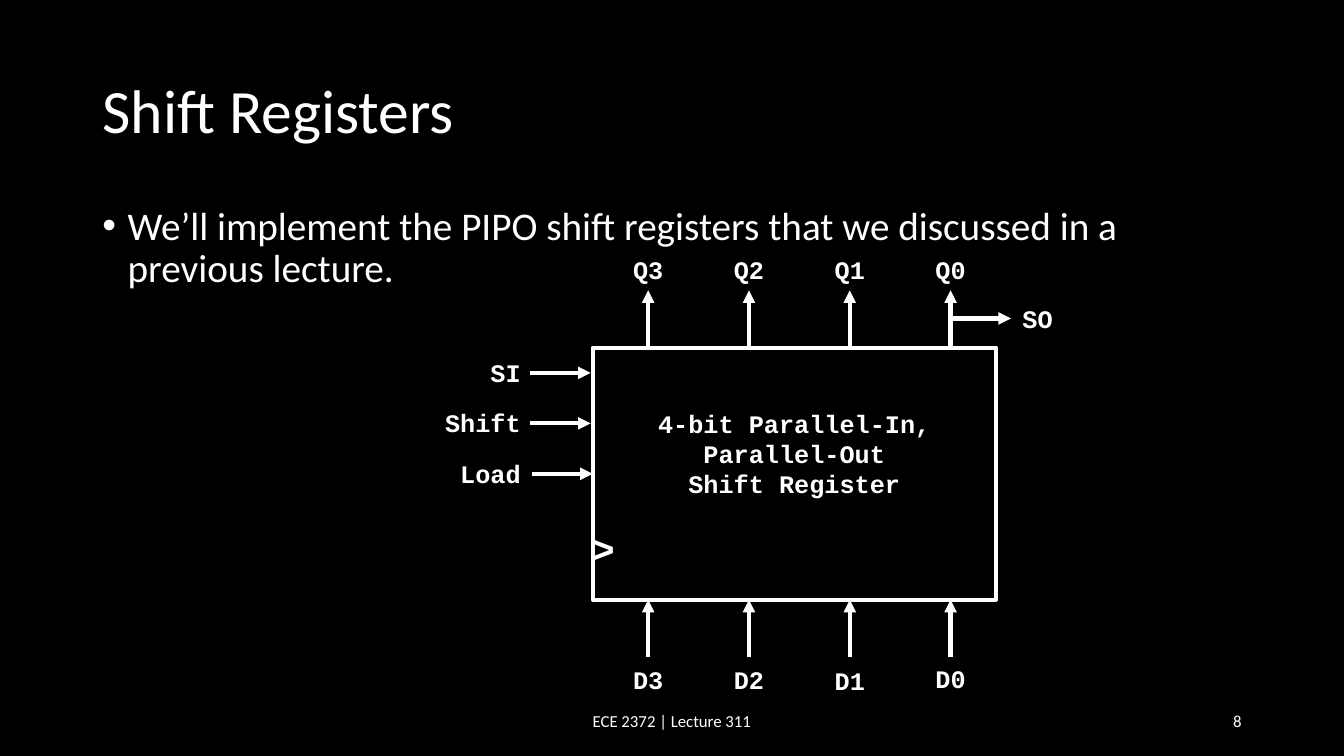
"""Build the shift register slide."""
import pptx
import pptx.util
import pptx.dml.color
import pptx.enum.shapes
import pptx.enum.text
import pptx.oxml.ns
from lxml import etree

Pt = pptx.util.Pt
ALIGN = pptx.enum.text.PP_ALIGN
ANCHOR = pptx.enum.text.MSO_ANCHOR
BLACK, WHITE = "000000", "FFFFFF"
CODE, SANS = "Courier New", "Calibri"

TITLE = "Shift Registers"
BODY = "We’ll implement the PIPO shift registers that we discussed in a previous lecture."
NAME = ["4-bit Parallel-In,", "Parallel-Out", "Shift Register"]
FOOTER, NUMBER = "ECE 2372 | Lecture 311", "8"
BITS = [("Q3", "D3", 471), ("Q2", "D2", 471), ("Q1", "D1", 471.6), ("Q0", "D0", 470.2)]
INPUTS = [("SI", 36, 252), ("Shift", 69, 287.5), ("Load", 58, 324)]

LEFT, TOP, WIDE, HIGH = 423.4, 248.4, 288, 180
FIRST, STEP, STEM = 463, 72, 41
LABEL_W, LABEL_H = 36, 29


def color(code):
    return pptx.dml.color.RGBColor.from_string(code)


def style(par, size, face, align, bold=False):
    par.alignment = align
    par.font.size = Pt(size)
    par.font.name = face
    par.font.bold = bold
    par.font.color.rgb = color(WHITE)


def child(parent, tag, **attrs):
    return etree.SubElement(parent, pptx.oxml.ns.qn(tag), attrs)


def label(slide, lines, spot, align, size=18, face=CODE, foot=False):
    frame = slide.shapes.add_textbox(*map(Pt, spot)).text_frame
    frame.word_wrap = foot
    frame.vertical_anchor = ANCHOR.MIDDLE if foot else ANCHOR.TOP
    frame.text = "\n".join(lines)
    for par in frame.paragraphs:
        style(par, size, face, align, bold=not foot)


def arrow(slide, *ends):
    line = slide.shapes.add_connector(
        pptx.enum.shapes.MSO_CONNECTOR.STRAIGHT, *map(Pt, ends))
    line.line.color.rgb = color(WHITE)
    line.line.width = Pt(3)
    child(line.line._get_or_add_ln(), "a:tailEnd", type="triangle")
    child(line._element.spPr, "a:effectLst")
    return line


def holder(shape, text, spot, size, anchor):
    shape.left, shape.top, shape.width, shape.height = map(Pt, spot)
    frame = shape.text_frame
    frame.text = text
    frame.word_wrap = True
    frame.auto_size = pptx.enum.text.MSO_AUTO_SIZE.NONE
    frame.vertical_anchor = anchor
    par = frame.paragraphs[0]
    par.line_spacing = 0.9
    par.space_before = Pt(0)
    return par


def heading(slide):
    par = holder(slide.shapes.title, TITLE, (66, 28.8, 828, 104.4), 44, ANCHOR.MIDDLE)
    style(par, 44, SANS, ALIGN.LEFT)
    par = holder(slide.placeholders[1], BODY, (66, 144, 828, 342.7), 28, ANCHOR.TOP)
    props = par._p.get_or_add_pPr()
    props.set("marL", str(Pt(18)))
    props.set("indent", str(-Pt(18)))
    child(props, "a:buFont", typeface="Arial")
    child(props, "a:buChar", char="•")
    style(par, 28, SANS, ALIGN.LEFT)


def register(slide):
    box = slide.shapes.add_shape(
        pptx.enum.shapes.MSO_SHAPE.RECTANGLE, *map(Pt, (LEFT, TOP, WIDE, HIGH)))
    box.shadow.inherit = False
    box.fill.background()
    box.line.color.rgb = color(WHITE)
    box.line.width = Pt(3)

    base = TOP + HIGH
    for i, (out, data, top) in enumerate(BITS):
        x = FIRST + i * STEP
        arrow(slide, x, TOP - 0.5, x, TOP - STEM)
        arrow(slide, x, base + STEM, x, base)
        for text, y in ((out, 177.8), (data, top)):
            label(slide, [text], (x - LABEL_W / 2, y, LABEL_W, LABEL_H), ALIGN.CENTER)

    for i, (text, wide, top) in enumerate(INPUTS):
        y = TOP + 18 + 36 * i
        wire = arrow(slide, LEFT - 44.5, y, LEFT - 1.5, y)
        label(slide, [text], (379 - wide, top, wide, LABEL_H), ALIGN.RIGHT)
    wire.begin_x = Pt(LEFT - 43.2)
    wire.end_connect(box, 1)

    arrow(slide, x, 227.5, x + 43.2, 227.5)
    label(slide, ["SO"], (723, 213.1, LABEL_W, LABEL_H), ALIGN.RIGHT)
    label(slide, [">"], (415.4, 370.8, 31.7, 41), ALIGN.LEFT, size=28)
    label(slide, NAME, (462.2, 288, 210.2, 72.7), ALIGN.CENTER)


def main():
    deck = pptx.Presentation()
    deck.slide_width, deck.slide_height = Pt(960), Pt(540)
    slide = deck.slides.add_slide(deck.slide_layouts[1])
    slide.background.fill.solid()
    slide.background.fill.fore_color.rgb = color(BLACK)
    heading(slide)
    register(slide)
    label(slide, [FOOTER], (318, 500.5, 324, 28.8), ALIGN.CENTER, 12, SANS, True)
    label(slide, [NUMBER], (678, 500.5, 216, 28.8), ALIGN.RIGHT, 12, SANS, True)
    deck.save("out.pptx")


if __name__ == "__main__":
    main()
